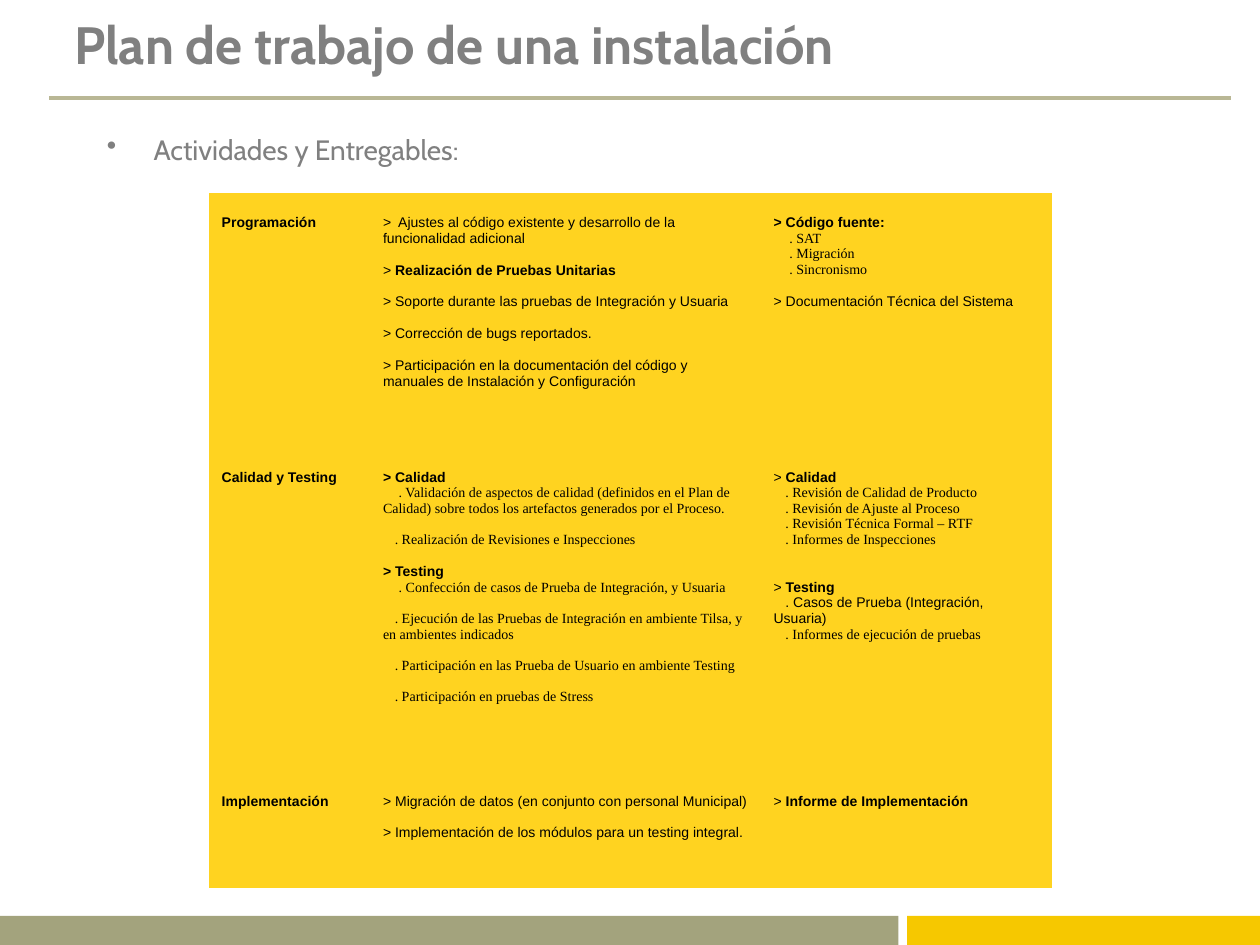
from dataclasses import dataclass
from typing import NamedTuple

import lxml.etree
import pptx
import pptx.dml.color
import pptx.enum.shapes
import pptx.oxml
import pptx.oxml.ns
import pptx.util

COLS, ROWS = 100, 75  # the slide's grid
UNIT = pptx.util.Inches(10) // COLS
PLAIN = "{2D5ABB26-0587-4C30-8999-92F81FD0307C}"  # table style without grid


@dataclass(frozen=True)
class Theme:
    gold: str = "F6C800"
    olive: str = "A3A37D"
    rule: str = "B9B795"
    grey: str = "808080"
    cell: str = "FFD320"
    ink: str = "000000"
    head: str = "Cabin"
    sans: str = "Arial"
    serif: str = "Times New Roman"
    title: float = 30
    body: float = 16
    small: float = 8
    line: float = 9.1  # height of one line of small text


class Box(NamedTuple):
    x: float
    y: float
    w: float
    h: float


class Line(NamedTuple):
    text: str
    bold: bool = False
    gap: int = 0  # empty lines above
    step: int = 0  # first-line indent, in spaces
    serif: bool = False
    mark: str = ""  # plain lead before bold text


THEME = Theme()


def grid(*cells: float) -> list[int]:
    return [round(n * UNIT) for n in cells]


def color(code: str) -> pptx.dml.color.RGBColor:
    return pptx.dml.color.RGBColor.from_string(code)


def style(font, face: str, size: float, code: str, bold: bool = False) -> None:
    font.name, font.size, font.bold = face, pptx.util.Pt(size), bold
    font.color.rgb = color(code)


def bar(slide, box: Box, code: str) -> None:
    shape = slide.shapes.add_shape(
        pptx.enum.shapes.MSO_SHAPE.RECTANGLE, *grid(*box))
    shape.shadow.inherit = False
    shape.fill.solid()
    shape.fill.fore_color.rgb = color(code)
    shape.line.fill.background()


def rule(slide, x: float, y: float, end: float) -> None:
    line = slide.shapes.add_connector(
        pptx.enum.shapes.MSO_CONNECTOR.STRAIGHT, *grid(x, y, end, y))
    line.line.color.rgb = color(THEME.rule)
    line.line.width = pptx.util.Pt(2.25)
    lxml.etree.SubElement(line._element.spPr, pptx.oxml.ns.qn("a:effectLst"))


def label(slide, box: Box, text: str, size: float, bold: bool = False,
          dot: bool = False) -> None:
    frame = slide.shapes.add_textbox(*grid(*box)).text_frame
    frame.word_wrap = True
    para = frame.paragraphs[0]
    para.text = text
    if dot:
        props = para._p.get_or_add_pPr()
        hang = grid(3.7)[0]
        props.set("marL", str(hang))
        props.set("indent", str(-hang))
        mark = lxml.etree.SubElement(props, pptx.oxml.ns.qn("a:buChar"))
        mark.set("char", "•")
    style(para.font, THEME.head, size, THEME.grey, bold)


def write(para, line: Line) -> None:
    if line.gap:
        para.space_before = pptx.util.Pt(line.gap * THEME.line)
    if line.step:
        space = 0.28 * THEME.small
        indent = pptx.util.Pt(line.step * space)
        para._p.get_or_add_pPr().set("indent", str(indent))
    face = THEME.serif if line.serif else THEME.sans
    if line.mark:
        para.add_run().text = line.mark
        run = para.add_run()
        run.text, run.font.bold = line.text, True
    else:
        para.text = line.text
    style(para.font, face, THEME.small, THEME.ink, line.bold)
    if line.mark:
        para.runs[0].font.bold = False


def fill(cell, lines: list[Line]) -> None:
    cell.fill.solid()
    cell.fill.fore_color.rgb = color(THEME.cell)
    cell.margin_top = grid(0.5)[0] + pptx.util.Pt(THEME.line)
    frame = cell.text_frame
    for n, line in enumerate(lines):
        write(frame.add_paragraph() if n else frame.paragraphs[0], line)


def table(slide, x: float, y: float, wide: list[float], high: list[float],
          data: list[list[list[Line]]]) -> None:
    box = Box(x, y, sum(wide), sum(high))
    grid_table = slide.shapes.add_table(
        len(high), len(wide), *grid(*box)).table
    grid_table.first_row = grid_table.horz_banding = False
    props = grid_table._tbl.tblPr
    props.find(pptx.oxml.ns.qn("a:tableStyleId")).text = PLAIN
    for col, size in zip(grid_table.columns, grid(*wide)):
        col.width = size
    for row, size, cells in zip(grid_table.rows, grid(*high), data):
        row.height = size
        for cell, lines in zip(row.cells, cells):
            fill(cell, lines)


def item(text: str, gap: int = 0, step: int = 3) -> Line:
    return Line(text, gap=gap, step=step, serif=True)


def name(text: str, gap: int = 0) -> Line:
    return Line(text, bold=True, gap=gap)


def lead(text: str, gap: int = 0) -> Line:
    return Line(text, gap=gap, mark="> ")


DATA = [
    [[name("Programación")],
     [Line(">  Ajustes al código existente y desarrollo de la "
           "funcionalidad adicional"),
      lead("Realización de Pruebas Unitarias", 1),
      Line("> Soporte durante las pruebas de Integración y Usuaria", gap=1),
      Line("> Corrección de bugs reportados.", gap=1),
      Line("> Participación en la documentación del código y manuales de "
           "Instalación y Configuración", gap=1)],
     [name("> Código fuente:"),
      item(". SAT", step=4),
      item(". Migración", step=4),
      item(". Sincronismo", step=4),
      Line("> Documentación Técnica del Sistema", gap=1)]],
    [[name("Calidad y Testing")],
     [name("> Calidad"),
      item(". Validación de aspectos de calidad (definidos en el Plan de "
           "Calidad) sobre todos los artefactos generados por el Proceso.",
           step=4),
      item(". Realización de Revisiones e Inspecciones", 1),
      name("> Testing", 1),
      item(". Confección de casos de Prueba de Integración, y Usuaria",
           step=4),
      item(". Ejecución de las Pruebas de Integración en ambiente Tilsa, y "
           "en ambientes indicados", 1),
      item(". Participación en las Prueba de Usuario en ambiente Testing", 1),
      item(". Participación en pruebas de Stress", 1)],
     [lead("Calidad"),
      item(". Revisión de Calidad de Producto"),
      item(". Revisión de Ajuste al Proceso"),
      item(". Revisión Técnica Formal – RTF"),
      item(". Informes de Inspecciones"),
      lead("Testing", 2),
      Line(". Casos de Prueba (Integración, Usuaria)", step=3),
      item(". Informes de ejecución de pruebas")]],
    [[name("Implementación")],
     [Line("> Migración de datos (en conjunto con personal Municipal)"),
      Line("> Implementación de los módulos para un testing integral.",
           gap=1)],
     [lead("Informe de Implementación")]],
]


def main() -> None:
    deck = pptx.Presentation()
    deck.slide_width, deck.slide_height = grid(COLS, ROWS)
    slide = deck.slides.add_slide(deck.slide_layouts[6])
    bar(slide, Box(72, 72.7, 28, 2.4), THEME.gold)
    bar(slide, Box(0, 72.7, 71.3, 2.4), THEME.olive)
    rule(slide, 3.9, 7.8, 97.7)
    label(slide, Box(4.9, 0.5, 77.6, 13.6),
          "Plan de trabajo de una instalación", THEME.title, bold=True)
    label(slide, Box(7.5, 10, 72.5, 7.5), "Actividades y Entregables:",
          THEME.body, dot=True)
    table(slide, 16.6, 15.3, [12.8, 31, 23.1], [20.2, 25.7, 9.3], DATA)
    deck.save("out.pptx")


if __name__ == "__main__":
    main()
